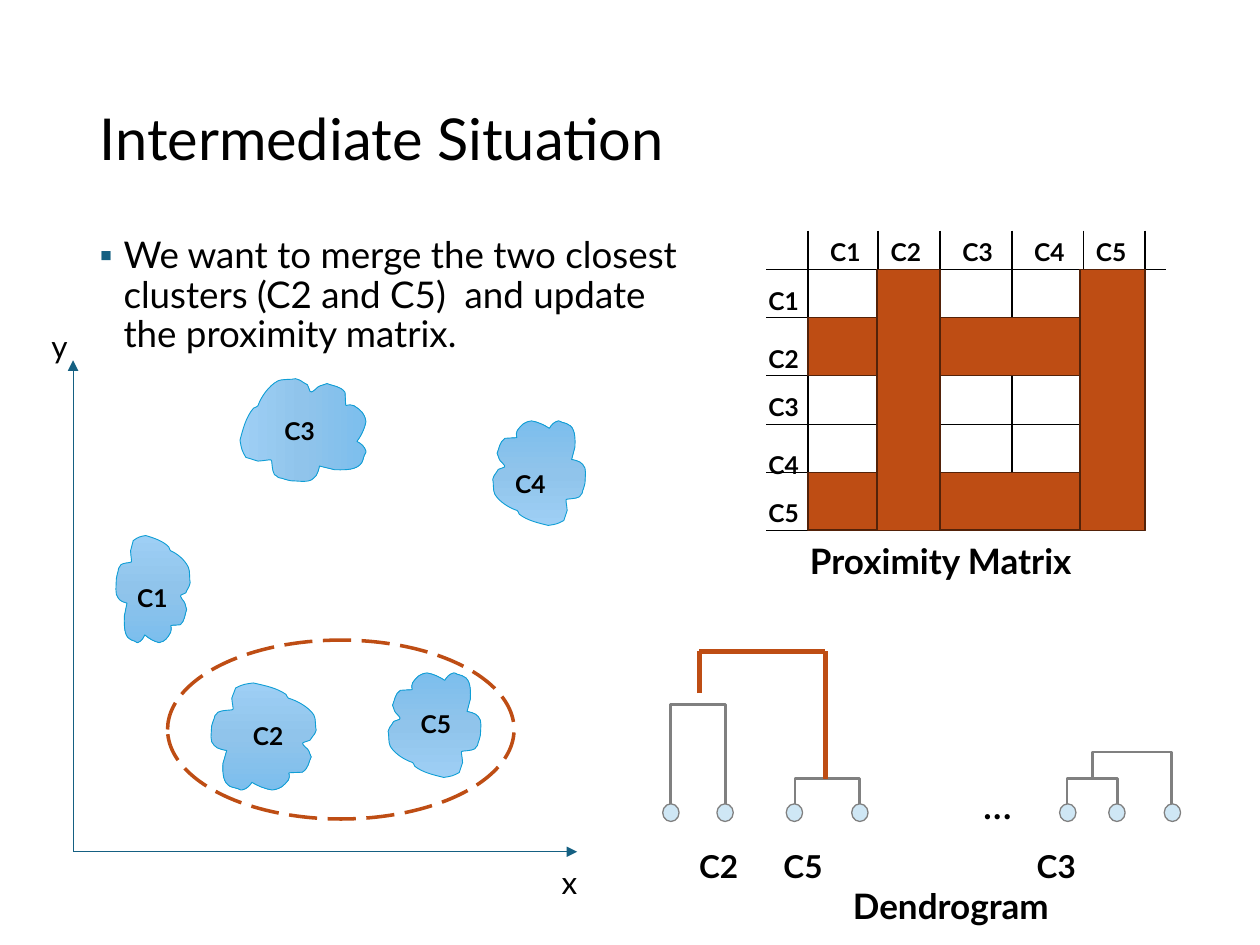
import copy
import pptx
import pptx.util
import pptx.dml.color
import pptx.enum.dml
import pptx.enum.shapes
import pptx.enum.text
import lxml.etree
from pptx.oxml.ns import qn

Inches, Pt = pptx.util.Inches, pptx.util.Pt
RGBColor = pptx.dml.color.RGBColor
SHAPES = pptx.enum.shapes.MSO_SHAPE
CONNECTORS = pptx.enum.shapes.MSO_CONNECTOR

BLACK = RGBColor(0x00, 0x00, 0x00)
RUST = RGBColor(0xBE, 0x4D, 0x14)
BROWN = RGBColor(0x53, 0x22, 0x09)
GRAY = RGBColor(0x80, 0x80, 0x80)
PALE = RGBColor(0xCF, 0xE7, 0xF5)
TEAL = RGBColor(0x15, 0x60, 0x82)
EDGE = RGBColor(0x0F, 0x9E, 0xD5)
BLUES = RGBColor(0x9E, 0xCF, 0xF5), RGBColor(0x90, 0xC4, 0xEB), RGBColor(0x7C, 0xBE, 0xED)

# Content
TITLE = "Intermediate Situation"
BODY = ("We want to merge the two closest clusters (C2 and C5)  "
        "and update the proximity matrix.")
NAMES = ["C1", "C2", "C3", "C4", "C5"]
MERGED = ["C2", "C5"]

# Proximity matrix: grid lines and label positions
COLUMNS = [6.41, 6.97, 7.46, 8.03, 8.6, 9.09]
ROWS = [2.14, 2.52, 2.98, 3.37, 3.75, 4.21]
COLUMN_LABELS = [6.49, 6.97, 7.54, 8.11, 8.6]
ROW_LABELS = [2.22, 2.68, 3.06, 3.52, 3.9]
BARS = {"C2": (6.96, 0.5), "C5": (8.57, 0.52)}

# Dendrogram: leaf lefts; brackets as left, left foot, top, right, right foot, flipped
LEAVES = [5.26, 5.69, 6.24, 6.76, 8.41, 8.8, 9.24]
LEAF_TOP, LEAF_SIZE = 6.38, (0.13, 0.14)
BRACKETS = [(5.32, 6.38, 5.51, 5.76, 6.38, False), (6.31, 6.38, 6.16, 6.82, 6.38, True),
            (8.47, 6.38, 6.16, 8.87, 6.38, True), (8.67, 6.18, 5.97, 9.3, 6.38, True)]
LEVEL_STEP = pptx.util.Emu(1587)  # box depth of a bracket with level feet
MERGE = [(5.55, 5.5), (5.55, 5.17), (6.55, 5.17), (6.55, 6.18)]
TREE_LABELS, TREE_TABS = ["C2", "C5", "C3"], [0.67, 2.68]

# Clusters: name, box, rotation, label position
CLUSTERS = [
    ("C1", (0.91, 4.25, 0.6, 0.85), 0, (0.99, 4.58)),
    ("C3", (1.99, 2.92, 0.83, 1.0), 270, (2.16, 3.25)),
    ("C4", (3.91, 3.34, 0.75, 0.83), 180, (3.99, 3.67)),
    ("C2", (1.66, 5.42, 0.85, 0.85), 0, (1.91, 5.67)),
    ("C5", (3.08, 5.34, 0.75, 0.83), 180, (3.24, 5.58)),
]
# Cluster outline: a start, then two handles and an end for each curve
BLOB_START, BLOB_SIZE = (61, 9), (85, 84)
BLOB_CURVES = [
    (54, 4, 44, 2, 35, 0), (28, 1, 27, 1, 21, 4), (20, 7, 19, 9, 18, 12),
    (19, 24, 22, 20, 10, 22), (9, 22, 8, 22, 7, 23), (4, 27, 5, 24, 4, 28),
    (3, 30, 2, 34, 2, 34), (2, 39, 0, 46, 4, 49), (6, 52, 14, 53, 14, 53),
    (13, 56, 12, 60, 11, 63), (11, 67, 10, 76, 15, 80), (17, 82, 20, 82, 23, 83),
    (24, 84, 26, 84, 26, 84), (30, 83, 32, 81, 34, 78), (39, 81, 44, 83, 50, 84),
    (57, 83, 59, 81, 63, 76), (66, 69, 57, 71, 74, 70), (79, 67, 79, 62, 81, 58),
    (79, 54, 80, 53, 76, 50), (72, 46, 75, 47, 80, 45), (84, 39, 83, 42, 85, 37),
    (84, 35, 85, 28, 83, 25), (79, 19, 70, 14, 63, 12), (62, 12, 62, 10, 61, 9),
]

LABEL = {"size": Pt(14), "bold": True}
CAPTION = {"size": Pt(20), "bold": True}
TREE_LABEL = {"size": Pt(18), "bold": True}
AXIS_LABEL = {"size": Pt(18)}


def write(frame, words, font_format):
    """Put one paragraph of Lato text in a frame."""
    para = frame.paragraphs[0]
    span = para.add_run()
    span.text = words
    for key, value in {"name": "Lato", **font_format}.items():
        setattr(span.font, key, value)
    span.font.color.rgb = BLACK
    return para


def add_text(page, words, left, top, width, height, font_format, wrap=True):
    box = page.shapes.add_textbox(*map(Inches, (left, top, width, height)))
    box.text_frame.word_wrap = wrap
    return write(box.text_frame, words, font_format)


def add_line(page, start, end, color, width, arrow=False, kind=CONNECTORS.STRAIGHT):
    line = page.shapes.add_connector(kind, *map(Inches, (*start, *end)))
    line.line.color.rgb = color
    line.line.width = Pt(width)
    if arrow:
        lxml.etree.SubElement(line.line._get_or_add_ln(), qn("a:tailEnd"), type="triangle")
    lxml.etree.SubElement(line._element.spPr, qn("a:effectLst"))
    return line


def add_bracket(page, left, left_foot, top, right, right_foot, flipped):
    """An elbow connector turned a quarter, so that its middle part lies on top."""
    depth = Inches(right_foot - left_foot) or LEVEL_STEP
    span = Inches(right - left)
    line = add_line(page, (left, left_foot), (right, right_foot), GRAY, 1.45,
                    kind=CONNECTORS.ELBOW)
    line.left = Inches((left + right) / 2) - depth // 2
    line.top = Inches((left_foot + right_foot) / 2) - span // 2
    line.width, line.height = depth, span
    frame = line._element.spPr.find(qn("a:xfrm"))
    frame.set("rot", str(270 * 60000))
    if flipped:
        frame.set("flipH", "1")
    bend = Inches(left_foot - top) / depth * (-1 if flipped else 1)
    guides = line._element.spPr.find(qn("a:prstGeom")).get_or_add_avLst()
    lxml.etree.SubElement(guides, qn("a:gd"), name="adj1", fmla=f"val {round(bend * 100000)}")


def paint(shape, fill, color, width):
    shape.shadow.inherit = False
    if fill is None:
        shape.fill.background()
    else:
        shape.fill.solid()
        shape.fill.fore_color.rgb = fill
    shape.line.color.rgb = color
    shape.line.width = Pt(width)
    return shape


def add_preset(page, kind, left, top, width, height, fill, color, line_width):
    shape = page.shapes.add_shape(kind, *map(Inches, (left, top, width, height)))
    return paint(shape, fill, color, line_width)


def add_blob(page, left, top, width, height):
    """A freeform of the box's size, its outline made of the cluster's curves."""
    x, y, right, bottom = map(Inches, (left, top, left + width, top + height))
    builder = page.shapes.build_freeform(x, y, scale=1.0)
    builder.add_line_segments([(right, y), (right, bottom), (x, bottom)])
    blob = builder.convert_to_shape()
    outline = next(blob._element.iter(qn("a:path")))
    for child in list(outline):
        outline.remove(child)
    for key, value in zip("wh", BLOB_SIZE):
        outline.set(key, str(value))
    for tag, values in [("a:moveTo", BLOB_START)] + [("a:cubicBezTo", c) for c in BLOB_CURVES]:
        step = lxml.etree.SubElement(outline, qn(tag))
        for px, py in zip(values[::2], values[1::2]):
            lxml.etree.SubElement(step, qn("a:pt"), x=str(px), y=str(py))
    lxml.etree.SubElement(outline, qn("a:close"))
    return paint(blob, None, EDGE, 0.5)


def shade(blob):
    blob.fill.gradient()
    blob.fill.gradient_angle = 270
    stops = next(blob._element.iter(qn("a:gsLst")))
    stops.insert(1, copy.deepcopy(stops[0]))
    for stop, color, position in zip(blob.fill.gradient_stops, BLUES, (0, 0.5, 1)):
        stop.color.rgb = color
        stop.position = position


def add_placeholders(page):
    title, body = page.shapes.title, page.placeholders[1]
    for holder, box, words, size, anchor in (
            (title, (0.69, 0.4, 8.62, 1.45), TITLE, 33, "MIDDLE"),
            (body, (0.69, 1.83, 5.01, 1.12), BODY, 21, "TOP")):
        for key, value in zip(("left", "top", "width", "height"), box):
            setattr(holder, key, Inches(value))
        holder.text_frame.auto_size = pptx.enum.text.MSO_AUTO_SIZE.NONE
        holder.text_frame.vertical_anchor = getattr(pptx.enum.text.MSO_ANCHOR, anchor)
        para = write(holder.text_frame, words, {"size": Pt(size)})
        para.alignment = pptx.enum.text.PP_ALIGN.LEFT
        para.line_spacing = 0.9
    # Square bullet with a hanging indent
    para.space_before = Pt(7.5)
    properties = para._p.get_or_add_pPr()
    properties.set("marL", str(Inches(0.19)))
    properties.set("indent", str(-Inches(0.19)))
    color = lxml.etree.SubElement(properties, qn("a:buClr"))
    lxml.etree.SubElement(color, qn("a:srgbClr"), val=str(TEAL))
    lxml.etree.SubElement(properties, qn("a:buChar"), char="▪")


def add_matrix(page):
    for x in COLUMNS:
        add_line(page, (x, 1.83), (x, ROWS[-1]), BLACK, 1)
    for y in ROWS:
        add_line(page, (6.08, y), (9.25 if y == ROWS[0] else COLUMNS[-1], y), BLACK, 1)
    for name, x, y in zip(NAMES, COLUMN_LABELS, ROW_LABELS):
        add_text(page, name, x, 1.83, 0.57, 0.34, LABEL)
        add_text(page, name, 6, y, 0.57, 0.34, LABEL)
    # Rows, then columns, of the merged clusters
    bars = []
    for name in MERGED:
        row = NAMES.index(name)
        bars.append((COLUMNS[0], ROWS[row], COLUMNS[-1] - COLUMNS[0], ROWS[row + 1] - ROWS[row]))
    bars += [(BARS[name][0], ROWS[0], BARS[name][1], ROWS[-1] - ROWS[0]) for name in MERGED]
    for bar in bars:
        add_preset(page, SHAPES.RECTANGLE, *bar, RUST, BROWN, 1)
    add_text(page, "Proximity Matrix", 6.33, 4.23, 2.75, 0.44, CAPTION)


def add_dendrogram(page):
    for x in LEAVES:
        add_preset(page, SHAPES.OVAL, x, LEAF_TOP, *LEAF_SIZE, PALE, GRAY, 0.75)
    add_text(page, "...", 7.7, 6.12, 0.45, 0.71, {"size": Pt(24)}, wrap=False)
    for bracket in BRACKETS:
        add_bracket(page, *bracket)
    for start, end in zip(MERGE, MERGE[1:]):
        add_line(page, start, end, RUST, 3)
    para = add_text(page, "\t".join(TREE_LABELS), 5.45, 6.67, 3.53, 0.4, TREE_LABEL)
    tabs = lxml.etree.SubElement(para._p.get_or_add_pPr(), qn("a:tabLst"))
    for tab in TREE_TABS:
        lxml.etree.SubElement(tabs, qn("a:tab"), pos=str(Inches(tab)), algn="l")
    add_text(page, "Dendrogram", 6.67, 6.97, 2.75, 0.44, CAPTION)


def add_clusters(page):
    for name, box, rotation, label in CLUSTERS:
        blob = add_blob(page, *box)
        blob.rotation = rotation
        shade(blob)
        add_text(page, name, *label, 0.5, 0.34, LABEL)
    ring = add_preset(page, SHAPES.OVAL, 1.33, 5.08, 2.75, 1.42, None, RUST, 2)
    ring.line.dash_style = pptx.enum.dml.MSO_LINE.LONG_DASH
    # Axes
    for end in ((0.58, 2.86), (4.58, 6.76)):
        add_line(page, (0.58, 6.76), end, TEAL, 0.5, arrow=True)
    add_text(page, "x", 4.36, 6.8, 0.31, 0.4, AXIS_LABEL, wrap=False)
    add_text(page, "y", 0.31, 2.55, 0.32, 0.4, AXIS_LABEL, wrap=False)


deck = pptx.Presentation()
deck.slide_width, deck.slide_height = Inches(10), Inches(7.5)
slide = deck.slides.add_slide(deck.slide_layouts[1])
for add_part in (add_placeholders, add_matrix, add_dendrogram, add_clusters):
    add_part(slide)
deck.save("out.pptx")
